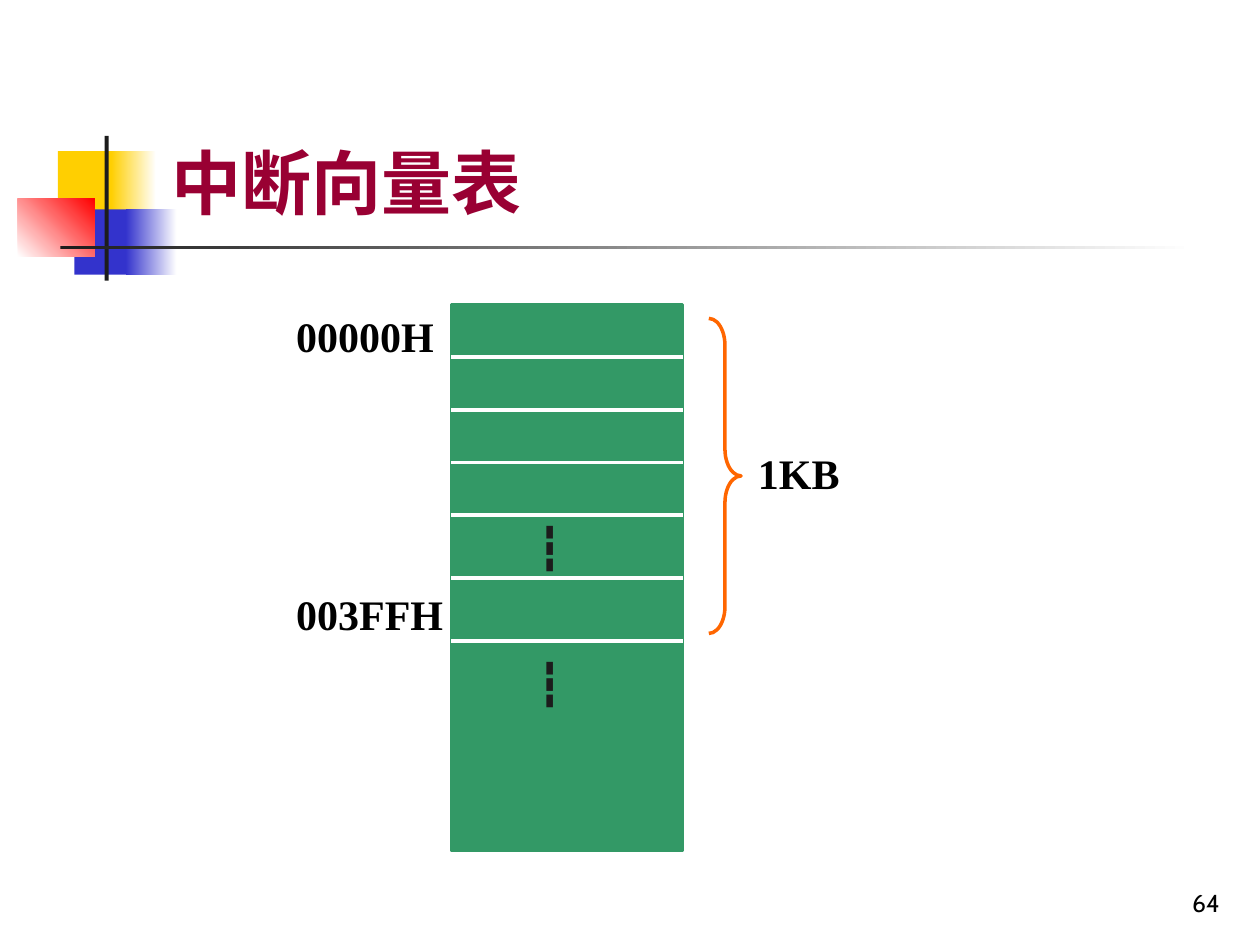
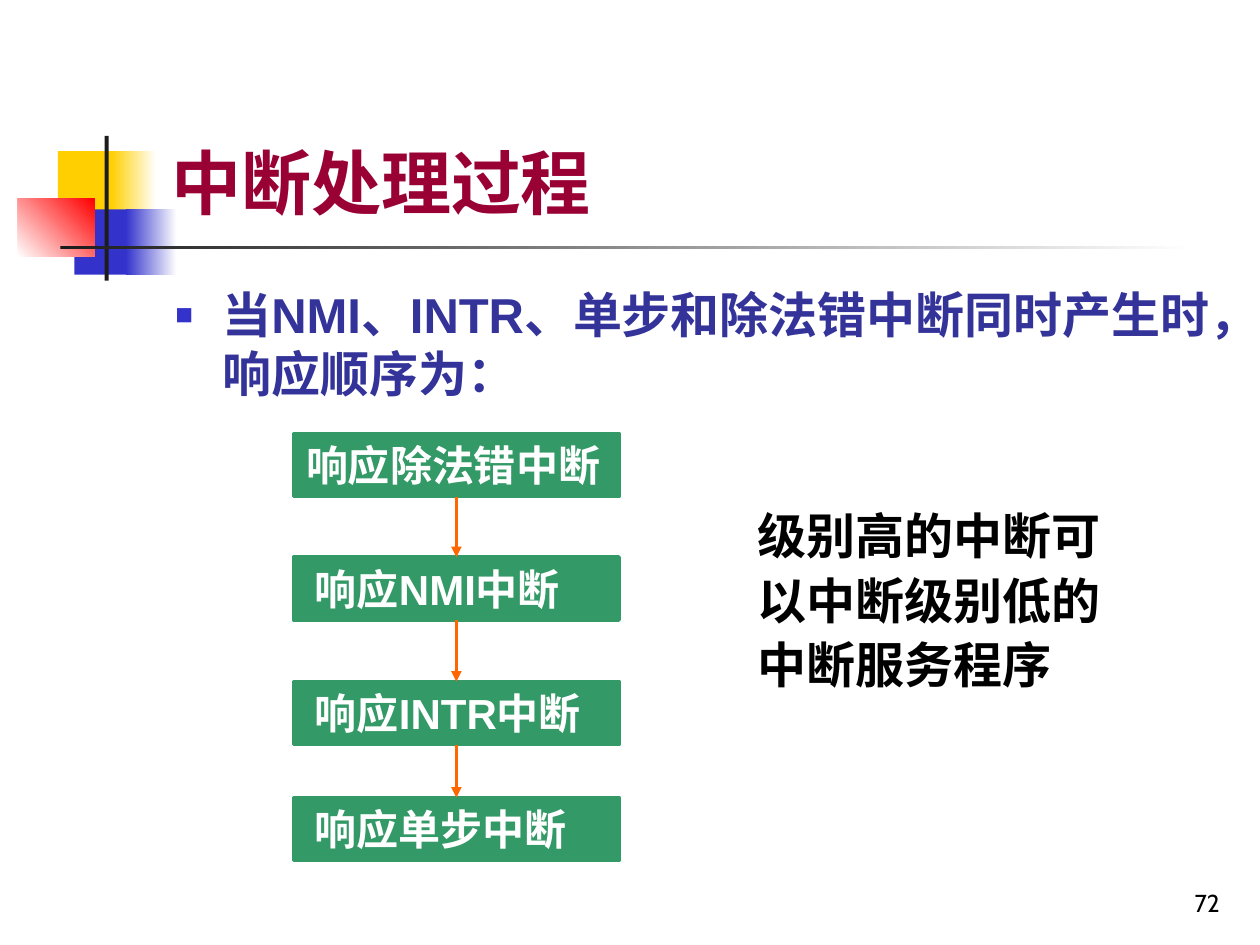
from itertools import accumulate, pairwise

from lxml.etree import SubElement
from pptx import Presentation
from pptx.dml.color import RGBColor
from pptx.enum.shapes import MSO_CONNECTOR as Link, MSO_SHAPE as Form
from pptx.enum.text import MSO_ANCHOR as Anchor, MSO_AUTO_SIZE as Fit, PP_ALIGN as Align
from pptx.oxml.ns import qn
from pptx.util import Cm, Pt

# Colours and text styles
hue = RGBColor.from_string
WHITE, BLACK, DARK = "FFFFFF", "000000", "1C1C1C"
GREEN, ORANGE, BLUE, GOLD = "339966", "FF6600", "3333CC", "FFCF01"
TITLE = {"name": "Arial", "size": Pt(40), "bold": True}
BODY = {"name": "Arial", "size": Pt(28), "bold": True}
STEP = {"name": "Arial", "size": Pt(24), "bold": True}
LABEL = {"name": "Times New Roman", "size": Pt(24), "bold": True}
NOTE = {"name": "Times New Roman", "size": Pt(28), "bold": True}
PAGE = {"name": "Cabin", "size": Pt(14)}


def write(shape, text, style, color, anchor=Anchor.TOP, align=Align.LEFT):
    frame = shape.text_frame
    for key, val in {"word_wrap": True, "auto_size": Fit.NONE,
                     "vertical_anchor": anchor, "text": text}.items():
        setattr(frame, key, val)
    para = frame.paragraphs[0]
    para.alignment, para.space_before = align, Pt(0)
    font = para.runs[0].font
    for key, val in style.items():
        setattr(font, key, val)
    font.color.rgb = hue(color)
    return para


def draw(slide, at, fill=None, line=None, form=Form.RECTANGLE):
    shape = slide.shapes.add_shape(form, *map(Cm, at))
    shape.shadow.inherit = False
    if fill:
        shape.fill.solid()
        shape.fill.fore_color.rgb = hue(fill)
    else:
        shape.fill.background()
    if line:
        shape.line.color.rgb = hue(line)
        shape.line.width = Pt(2)
    else:
        shape.line.fill.background()
    return shape


deck = Presentation()
deck.slide_width, deck.slide_height = Cm(25.4), Cm(19.05)

# Shared frame: place, first colour, second colour, angle
DECOR = [
    ((1.17, 3.05, 1.22, 1.32), GOLD, None, 0),
    ((2.24, 3.05, 0.91, 1.32), GOLD, WHITE, 0),
    ((1.5, 4.22, 1.17, 1.32), BLUE, None, 0),
    ((2.54, 4.22, 1.02, 1.32), BLUE, WHITE, 0),
    ((0.36, 4.01, 1.55, 1.17), WHITE, "FF0000", 45),
    ((2.11, 2.74, 0.08, 2.92), DARK, None, 0),
    ((1.22, 4.95, 22.86, 0.08), DARK, WHITE, 0),
]
slides = []
for kind, name, page in [(5, "中断向量表", "64"), (1, "中断处理过程", "72")]:
    slide = deck.slides.add_slide(deck.slide_layouts[kind])
    for at, first, last, angle in DECOR:
        block = draw(slide, at, first)
        if last:
            block.fill.gradient()
            block.fill.gradient_angle = angle
            for stop, color, pos in zip(block.fill.gradient_stops, (first, last), (0, 1)):
                stop.color.rgb, stop.position = hue(color), pos
    title = slide.shapes.title
    title.left, title.top, title.width, title.height = map(Cm, (3.2, 0.58, 21.64, 4.06))
    write(title, name, TITLE, "990033", Anchor.BOTTOM)
    box = slide.shapes.add_textbox(*map(Cm, (19.56, 17.35, 5.28, 1.27)))
    write(box, page, PAGE, BLACK, Anchor.BOTTOM, Align.RIGHT)
    slides.append(slide)
table, flow = slides

# Vector table: memory column and its row lines
left, top, width = 9.1, 6.14, 4.66
draw(table, (left, top, width, 11), GREEN, GREEN)
rows = list(accumulate([1.06] * 4 + [1.27] * 2, initial=top))
for y in rows[1:]:
    rule = table.shapes.add_connector(Link.STRAIGHT, Cm(left), Cm(y), Cm(left + width), Cm(y))
    rule.line.color.rgb, rule.line.width = hue(WHITE), Pt(2)
    SubElement(rule.element.spPr, qn("a:effectLst"))

# Vector table: addresses, dots, size
for text, x, y, wide, color in [
    ("┇", 10.58, rows[4], 1.48, DARK),
    ("┇", 10.58, 13.12, 1.48, DARK),
    ("00000H", 5.72, top, 3.81, BLACK),
    ("003FFH", 5.72, 11.73, 3.81, BLACK),
    ("1KB", 15.03, 8.89, 3.81, BLACK),
]:
    box = table.shapes.add_textbox(Cm(x), Cm(y), Cm(wide), Cm(1.27))
    write(box, text, LABEL, color)
brace = draw(table, (14.29, 6.42, 0.65, 6.35), None, ORANGE, Form.RIGHT_BRACE)
brace.adjustments[0] = 0.83

# Process: lead sentence with square bullet
body = flow.placeholders[1]
body.left, body.top, body.width, body.height = map(Cm, (3.28, 5.61, 21.59, 4.24))
lead = write(body, "当NMI、INTR、单步和除法错中断同时产生时，响应顺序为：", BODY, "333399")
props = lead._p.get_or_add_pPr()
props.set("marL", str(Cm(0.95)))
props.set("indent", str(Cm(-0.95)))
SubElement(SubElement(props, qn("a:buClr")), qn("a:srgbClr"), val=BLUE)
SubElement(props, qn("a:buSzPct"), val="60000")
SubElement(props, qn("a:buFont"), typeface="Arial")
SubElement(props, qn("a:buChar"), char="■")

# Process: steps joined by arrows
steps = []
for text, y, inset in [
    ("响应除法错中断", 8.74, 0.25),
    ("响应NMI中断", 11.23, 0.43),
    ("响应INTR中断", 13.74, 0.43),
    ("响应单步中断", 16.08, 0.43),
]:
    step = draw(flow, (5.92, y, 6.56, 1.27), GREEN, GREEN)
    write(step, text, STEP, WHITE)
    step.text_frame.margin_left = Cm(inset)
    steps.append(step)
for prev, step in pairwise(steps):
    arrow = flow.shapes.add_connector(Link.STRAIGHT, 0, 0, 0, 0)
    arrow.begin_connect(prev, 2)
    arrow.end_connect(step, 0)
    arrow.line.color.rgb, arrow.line.width = hue(ORANGE), Pt(2)
    SubElement(arrow.element.spPr.find(qn("a:ln")), qn("a:tailEnd"), type="triangle")
    SubElement(arrow.element.spPr, qn("a:effectLst"))

# Process: remark
box = flow.shapes.add_textbox(*map(Cm, (15.03, 9.95, 7.62, 4.16)))
note = write(box, "级别高的中断可以中断级别低的中断服务程序", NOTE, BLACK)
note.line_spacing = 1.1

deck.save("out.pptx")
